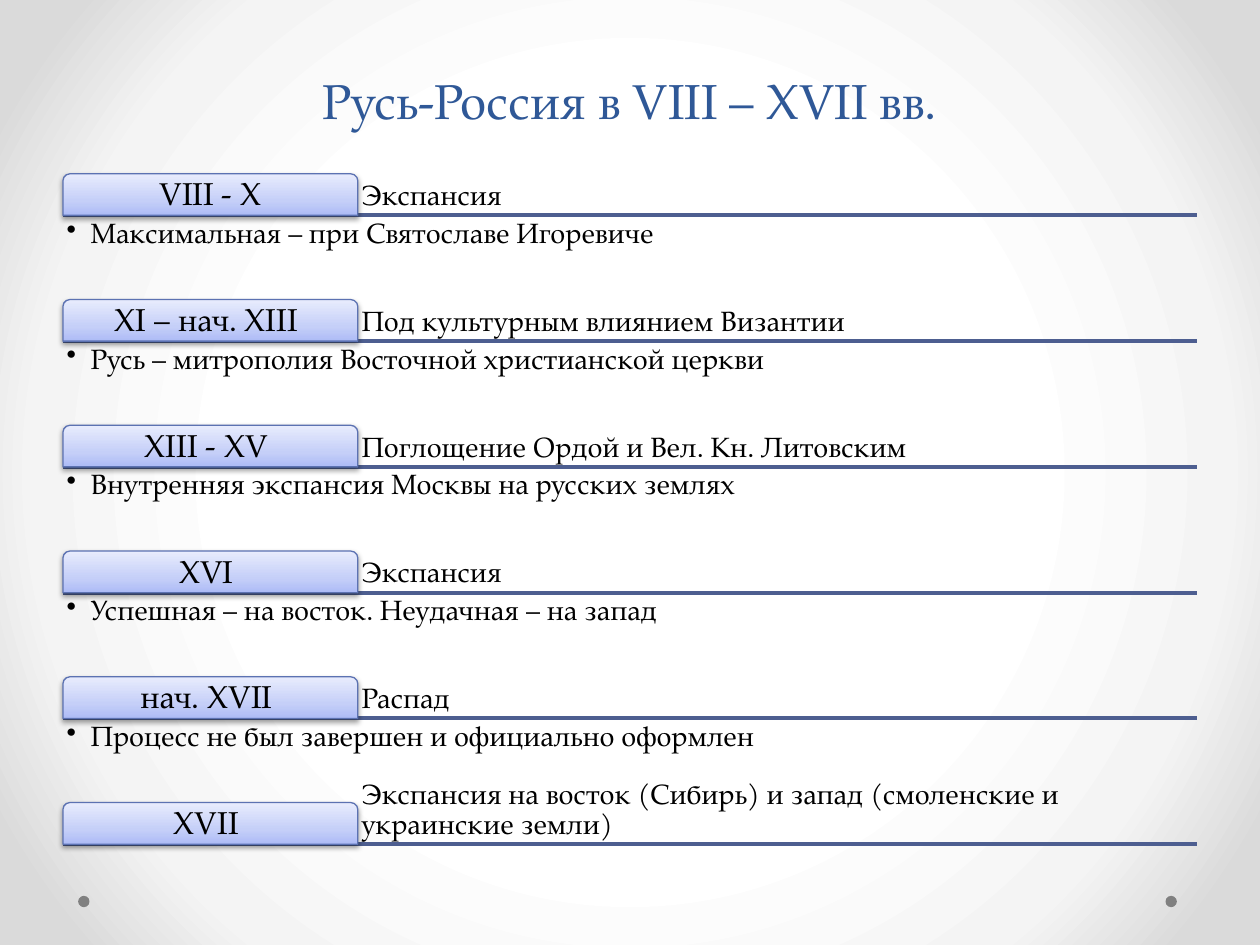
from lxml import etree
from pptx import Presentation
from pptx import util as u
from pptx.dml.color import RGBColor
from pptx.enum import shapes, text
from pptx.oxml import ns

FONT = "TeX Gyre Pagella"
COLORS = {"title": "2F5897", "text": "000000", "rule": "4D5E90",
          "tab_line": "5C72B2", "dot": "808080", "shadow": "000000"}
BACKGROUND_STOPS = [(50, "FFFFFF"), (76, "F4F4F4"), (92, "DADADA")]
TAB_STOPS = [(0, "ADBBF6"), (35, "C5CFF8"), (100, "E8ECFD")]

# Row geometry in inches
LEFT, WIDTH, TAB_WIDTH, TAB_HEIGHT = 0.5, 9, 2.34, 0.33
FIRST_RULE, LAST_RULE = 1.71, 6.7

# Period, heading, detail
PERIODS = [
    ("VIII - X", "Экспансия", "Максимальная – при Святославе Игоревиче"),
    ("XI – нач. XIII ", "Под культурным влиянием Византии",
     "Русь – митрополия Восточной христианской церкви"),
    ("XIII - XV ", "Поглощение Ордой и Вел. Кн. Литовским",
     "Внутренняя экспансия Москвы на русских землях"),
    ("XVI ", "Экспансия", "Успешная – на восток. Неудачная – на запад"),
    ("нач. XVII ", "Распад", "Процесс не был завершен и официально оформлен"),
    ("XVII ",
     "Экспансия на восток (Сибирь) и запад (смоленские и украинские земли)",
     None),
]


def rgb(name):
    return RGBColor.from_string(COLORS[name])


def add_xml(parent, tag, **attributes):
    return etree.SubElement(parent, ns.qn(tag), attributes)


def set_gradient(fill, owner, stops):
    """Give the fill these stops and return its element without a direction."""
    fill.gradient()
    gradient = owner.find(".//" + ns.qn("a:gradFill"))
    for child in list(gradient):
        gradient.remove(child)
    stop_list = add_xml(gradient, "a:gsLst")
    for percent, color in stops:
        stop = add_xml(stop_list, "a:gs", pos=str(percent * 1000))
        add_xml(stop, "a:srgbClr", val=color)
    return gradient


def set_background(page):
    gradient = set_gradient(page.background.fill, page.element, BACKGROUND_STOPS)
    circle = add_xml(gradient, "a:path", path="circle")
    add_xml(circle, "a:fillToRect", l="50000", t="50000", r="50000", b="50000")


def write(shape, words, size, anchor, inset=0.03, color="text",
          align=None, spacing=0.9, bullet=False):
    frame = shape.text_frame
    frame.text = words
    frame.word_wrap = True
    frame.vertical_anchor = anchor
    frame.margin_left = frame.margin_right = u.Inches(inset)
    frame.margin_top = frame.margin_bottom = u.Inches(min(inset, 0.05))
    para = frame.paragraphs[0]
    para.alignment = align
    para.line_spacing = spacing
    if bullet:
        para.level = 1
        properties = para._p.get_or_add_pPr()
        indent = u.Inches(0.19)
        properties.set("marL", str(indent))
        properties.set("indent", str(-indent))
        add_xml(properties, "a:buChar", char="•")
    span = para.runs[0]
    span.font.name = FONT
    span.font.size = u.Pt(size)
    span.font.color.rgb = rgb(color)


def add_text(page, left, top, width, height, words, size, anchor, **style):
    box = page.shapes.add_textbox(*map(u.Inches, (left, top, width, height)))
    write(box, words, size, anchor, **style)


def add_dot(page, left):
    dot = page.shapes.add_shape(
        shapes.MSO_SHAPE.OVAL, *map(u.Inches, (left, 7.11, 0.09, 0.09)))
    dot.shadow.inherit = False
    dot.fill.solid()
    dot.fill.fore_color.rgb = rgb("dot")
    dot.line.fill.background()


def add_rule(page, y):
    rule = page.shapes.add_connector(
        shapes.MSO_CONNECTOR.STRAIGHT,
        *map(u.Inches, (LEFT, y, LEFT + WIDTH, y)))
    rule.line.color.rgb = rgb("rule")
    rule.line.width = u.Pt(2.25)
    add_xml(rule._element.spPr, "a:effectLst")


def add_tab(page, top, words):
    tab = page.shapes.add_shape(
        shapes.MSO_SHAPE.ROUND_2_SAME_RECTANGLE,
        *map(u.Inches, (LEFT, top, TAB_WIDTH, TAB_HEIGHT)))
    gradient = set_gradient(tab.fill, tab._element, TAB_STOPS)
    add_xml(gradient, "a:lin", ang=str(270 * 60000), scaled="0")
    tab.line.color.rgb = rgb("tab_line")
    tab.line.width = u.Pt(0.75)
    # Soft shadow straight below
    tab.shadow.inherit = False
    effects = tab._element.spPr.find(ns.qn("a:effectLst"))
    shadow = add_xml(effects, "a:outerShdw", blurRad=str(u.Pt(3.1)),
                     dist=str(u.Pt(1.6)), dir=str(90 * 60000), rotWithShape="0")
    color = add_xml(shadow, "a:srgbClr", val=COLORS["shadow"])
    add_xml(color, "a:alpha", val="38000")
    write(tab, words, 18, text.MSO_ANCHOR.MIDDLE, inset=0.04,
          align=text.PP_ALIGN.CENTER)


def add_period(page, rule_y, period, heading, detail):
    top = rule_y - TAB_HEIGHT
    add_text(page, LEFT + TAB_WIDTH, top, WIDTH - TAB_WIDTH, TAB_HEIGHT,
             heading, 16, text.MSO_ANCHOR.BOTTOM)
    add_tab(page, top, period)
    if detail:
        add_text(page, LEFT, rule_y, WIDTH, 0.65, detail, 16,
                 text.MSO_ANCHOR.TOP, bullet=True)


def main():
    deck = Presentation()
    deck.slide_width, deck.slide_height = u.Inches(10), u.Inches(7.5)
    page = deck.slides.add_slide(deck.slide_layouts[6])
    set_background(page)

    # Corner dots and title
    for left in (9.25, 0.62):
        add_dot(page, left)
    add_text(page, LEFT, 0.21, WIDTH, 0.87, "Русь-Россия в VIII – XVII вв.", 28,
             text.MSO_ANCHOR.BOTTOM, inset=0.1, color="title",
             align=text.PP_ALIGN.CENTER, spacing=u.Pt(58))

    # Timeline: all rules lie behind the tabs and texts
    pitch = (LAST_RULE - FIRST_RULE) / (len(PERIODS) - 1)
    rules = [FIRST_RULE + pitch * row for row in range(len(PERIODS))]
    for rule_y in reversed(rules):
        add_rule(page, rule_y)
    for rule_y, period in zip(rules, PERIODS):
        add_period(page, rule_y, *period)

    deck.save("out.pptx")


if __name__ == "__main__":
    main()
